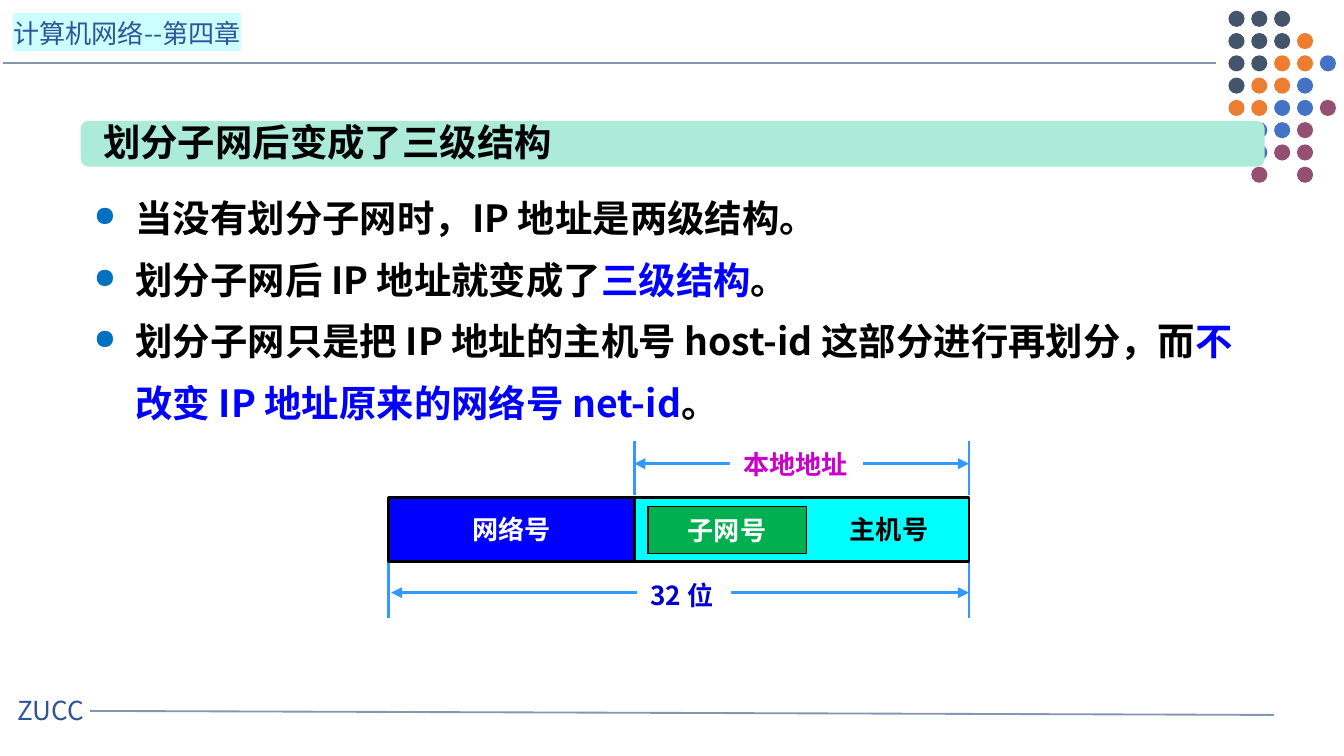
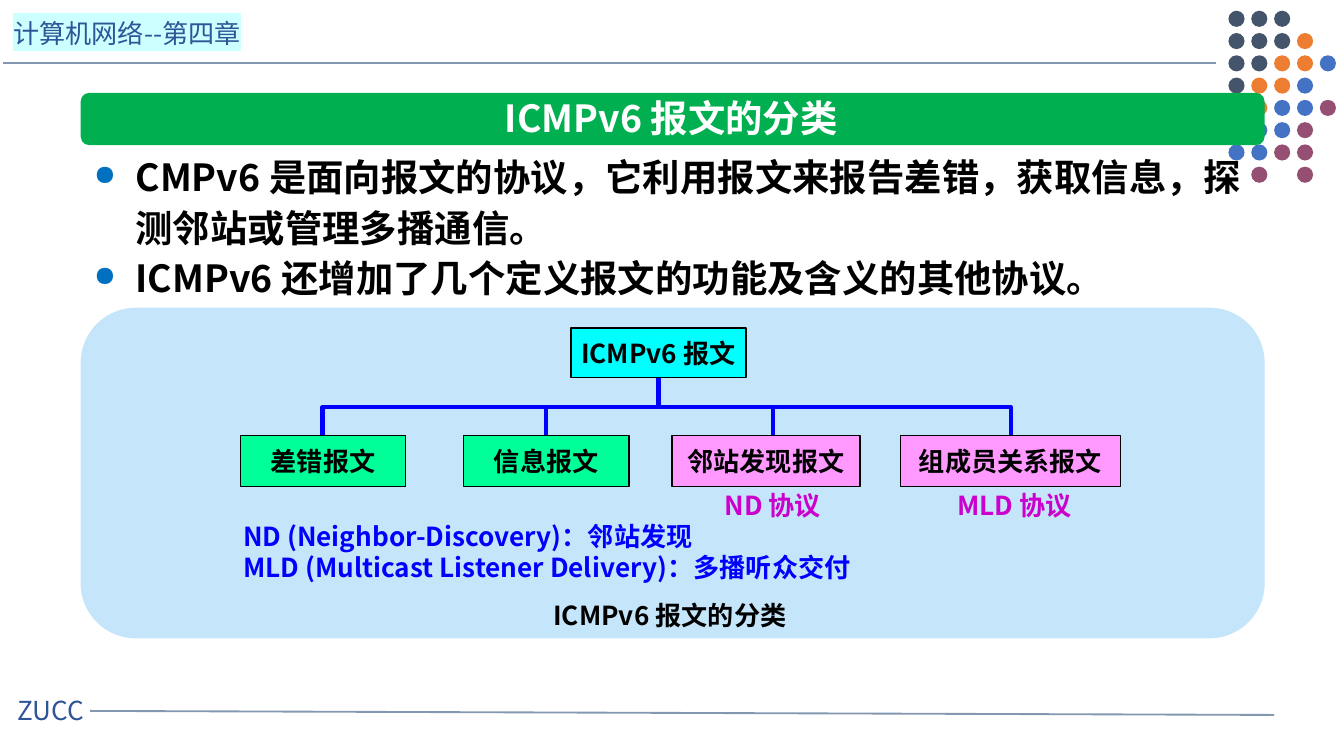
from lxml import etree
from pptx import Presentation
from pptx.dml.color import RGBColor
from pptx.enum.shapes import MSO_CONNECTOR, MSO_SHAPE
from pptx.enum.text import MSO_ANCHOR, MSO_AUTO_SIZE, PP_ALIGN
from pptx.oxml.ns import qn
from pptx.util import Inches, Pt

RECT, ROUND, OVAL = MSO_SHAPE.RECTANGLE, MSO_SHAPE.ROUNDED_RECTANGLE, MSO_SHAPE.OVAL
STRAIGHT = MSO_CONNECTOR.STRAIGHT
LEFT, CENTER = PP_ALIGN.LEFT, PP_ALIGN.CENTER
TOP, MIDDLE = MSO_ANCHOR.TOP, MSO_ANCHOR.MIDDLE
FIT, FIXED = MSO_AUTO_SIZE.SHAPE_TO_FIT_TEXT, MSO_AUTO_SIZE.NONE

# Shared look
FACE = "Noto Sans CJK SC"
BLACK, WHITE, BLUE, CYAN = "000000", "FFFFFF", "0000FF", "00FFFF"
GREEN, MINT, PINK, PURPLE = "00B050", "00FF99", "FF99FF", "CC00CC"
RULE, BRAND, MARK, SPAN = "8497B0", "2F5597", "0070C0", "3399FF"
HEAD = {"size": Pt(20), "bold": True}
BODY = {"size": Pt(14), "bold": True}
PLAIN = {"size": Pt(14), "bold": False}
MARGIN, WIDTH = 0.6, 8.81

# Corner dots: one letter a dot, a dot character for a gap
DOTS = ["SSS..", "SSSO.", "SSOOB", "SOOB.", "OOBBP", "OBBP.", "BBPP.", ".P.P."]
TINTS = {"S": "44546A", "O": "ED7D31", "B": "4472C4", "P": "954F72"}


def color(code):
    return RGBColor.from_string(code)


def sub(parent, tag, **attrs):
    return etree.SubElement(parent, qn(tag), attrs)


# Text
def add_run(para, text, style, ink, glow=None):
    run = para.add_run()
    run.text = text
    for key, value in style.items():
        setattr(run.font, key, value)
    run.font.color.rgb = color(ink)
    props = run.font._element
    if glow:
        sub(sub(props, "a:highlight"), "a:srgbClr", val=glow)
    run.font.name = FACE
    sub(props, "a:ea", typeface=FACE)


def write(shape, lines, style, ink=BLACK, align=LEFT, anchor=TOP,
          wrap=True, fit=True, glow=None):
    """Each line is a string or a list of (text, ink) runs."""
    frame = shape.text_frame
    layout = {"word_wrap": wrap, "auto_size": FIT if fit else FIXED,
              "vertical_anchor": anchor}
    for key, value in layout.items():
        setattr(frame, key, value)
    for i, line in enumerate(lines):
        para = frame.paragraphs[0] if i == 0 else frame.add_paragraph()
        para.alignment = align
        runs = [(line, ink)] if isinstance(line, str) else line
        for text, tone in runs:
            add_run(para, text, style, tone, glow)
    return frame


def add_text(slide, box, lines, style, **opts):
    shape = slide.shapes.add_textbox(*map(Inches, box))
    return write(shape, lines, style, **opts)


def add_list(slide, box, lines, pitch):
    frame = add_text(slide, box, lines, HEAD)
    for para in frame.paragraphs:
        para.line_spacing = Pt(pitch)
        props = para._p.get_or_add_pPr()
        props.set("marL", str(Inches(0.31)))
        props.set("indent", str(-Inches(0.31)))
        sub(sub(props, "a:buClr"), "a:srgbClr", val=MARK)
        sub(props, "a:buSzPct", val="75000")
        sub(props, "a:buChar", char="●")


# Shapes and lines
def add_box(slide, box, fill, kind=RECT, edge=0):
    shape = slide.shapes.add_shape(kind, *map(Inches, box))
    shape.shadow.inherit = False
    shape.fill.solid()
    shape.fill.fore_color.rgb = color(fill)
    if edge:
        shape.line.color.rgb = color(BLACK)
        shape.line.width = Pt(edge)
    else:
        shape.line.fill.background()
    return shape


def add_node(slide, box, text, fill, ink=BLACK, edge=0.75):
    write(add_box(slide, box, fill, edge=edge), [text], BODY, ink=ink,
          align=CENTER, anchor=MIDDLE, wrap=False, fit=False)


def add_line(slide, start, end, ink, width, arrows=False):
    line = slide.shapes.add_connector(STRAIGHT, *map(Inches, start + end))
    line.line.color.rgb = color(ink)
    line.line.width = Pt(width)
    if arrows:
        stroke = line.line._get_or_add_ln()
        for tag in ("a:headEnd", "a:tailEnd"):
            sub(stroke, tag, type="triangle")
    sub(line._element.spPr, "a:effectLst")


def add_path(slide, points, ink, width):
    spots = [(Inches(x), Inches(y)) for x, y in points]
    maker = slide.shapes.build_freeform(*spots[0])
    maker.add_line_segments(spots[1:], close=False)
    shape = maker.convert_to_shape()
    shape.shadow.inherit = False
    shape.fill.background()
    shape.line.color.rgb = color(ink)
    shape.line.width = Pt(width)


# Header, footer and dots of every slide
def add_frame(deck, covered):
    """Rows in covered have their first dot under the title band."""
    slide = deck.slides.add_slide(deck.slide_layouts[6])
    add_line(slide, (0.02, 0.47), (9.05, 0.47), RULE, 1)
    add_line(slide, (0.67, 5.29), (9.48, 5.32), RULE, 1)
    add_text(slide, (0.03, 5.12, 0.89, 0.34), ["ZUCC"], PLAIN, ink=BRAND)
    add_text(slide, (0, 0.08, 2.16, 0.34), ["计算机网络--第四章"], PLAIN,
             ink=BRAND, glow="CCFFFF")
    for row, marks in enumerate(DOTS):
        for col, mark in enumerate(marks):
            if mark in TINTS and not (col == 0 and row in covered):
                spot = (9.14 + 0.17 * col, 0.08 + 1.16 * row / 7, 0.12, 0.12)
                add_box(slide, spot, TINTS[mark], OVAL)
    return slide


def add_band(slide, top, height, fill):
    add_box(slide, (MARGIN, top, WIDTH, height), fill, ROUND)


# Slide 1: three-level address
def add_levels(deck):
    slide = add_frame(deck, covered=(6,))
    add_band(slide, 0.9, 0.34, "ABEBD7")
    add_text(slide, (0.67, 0.84, 3.57, 0.44), ["划分子网后变成了三级结构"],
             HEAD, wrap=False)
    add_list(slide, (MARGIN, 1.28, WIDTH, 1.95), [
        "当没有划分子网时，IP 地址是两级结构。",
        [("划分子网后 IP 地址就变成了", BLACK), ("三级结构", BLUE), ("。", BLACK)],
        [("划分子网只是把 IP 地址的主机号 host-id 这部分进行再划分，而", BLACK),
         ("不改变 IP 地址原来的网络号 net-id", BLUE), ("。", BLACK)],
    ], 33)

    # Address bar with its two measures
    left, mid, right = 2.89, 4.72, 7.21
    for x, top, low in [(right, 3.28, 3.68), (mid, 3.28, 3.68),
                        (left, 4.12, 4.6), (right, 4.12, 4.6)]:
        add_line(slide, (x, top), (x, low), SPAN, 1.5)
    for start, y, box, text, ink, wrap in [
            (2.91, 4.41, (4.74, 4.26, 0.7, 0.34), "32 位", "0000CC", True),
            (mid, 3.45, (5.43, 3.29, 0.99, 0.34), "本地地址", PURPLE, False)]:
        add_line(slide, (start, y), (right, y), SPAN, 1.5, arrows=True)
        write(add_box(slide, box, WHITE), [text], BODY, ink=ink, wrap=wrap)
    add_node(slide, (left, 3.7, mid - left, 0.48), "网络号", BLUE, WHITE, 1.5)
    add_box(slide, (mid, 3.7, right - mid, 0.48), CYAN, edge=1.5)
    add_text(slide, (6.08, 3.77, 1.07, 0.32), ["主机号"], BODY, align=CENTER)
    add_node(slide, (4.82, 3.77, 1.18, 0.35), "子网号", GREEN, WHITE)


# Slide 2: message tree
def add_tree(deck):
    slide = add_frame(deck, covered=(4, 5))
    add_list(slide, (MARGIN, 1.06, WIDTH, 1.24), [
        "CMPv6 是面向报文的协议，它利用报文来报告差错，获取信息，探测邻站或管理多播通信。",
        "ICMPv6 还增加了几个定义报文的功能及含义的其他协议。",
    ], 27)
    title = "ICMPv6 报文的分类"
    add_band(slide, 0.69, 0.39, GREEN)
    add_text(slide, (2.12, 0.66, 5.75, 0.44), [title], HEAD, ink=WHITE,
             align=CENTER)
    add_band(slide, 2.29, 2.46, "C5E5FB")
    add_text(slide, (3.53, 4.41, 2.91, 0.34), [title], BODY, align=CENTER)

    # Root and leaves
    add_node(slide, (4.25, 2.44, 1.3, 0.37), "ICMPv6 报文", CYAN)
    rail, leaf = 3.03, 3.24
    for x, width, text, fill in [
            (1.79, 1.23, "差错报文", MINT), (3.45, 1.23, "信息报文", MINT),
            (5, 1.4, "邻站发现报文", PINK), (6.7, 1.64, "组成员关系报文", PINK)]:
        add_node(slide, (x, leaf, width, 0.38), text, fill)

    # Branches
    add_path(slide, [(2.4, leaf), (2.4, rail), (7.52, rail), (7.52, leaf)],
             BLUE, 2.25)
    for x, top, low in [(4.06, rail, leaf), (5.75, rail, leaf),
                        (4.9, 2.81, rail)]:
        add_line(slide, (x, top), (x, low), BLUE, 2.25)

    # Labels and key
    for x, width, text in [(5.26, 0.98, "ND 协议"), (6.99, 1.12, "MLD 协议")]:
        add_text(slide, (x, 3.59, width, 0.34), [text], BODY, ink=PURPLE,
                 align=CENTER, wrap=False)
    add_text(slide, (1.71, 3.82, 4.88, 0.57), [
        "ND (Neighbor-Discovery)：邻站发现",
        "MLD (Multicast Listener Delivery)：多播听众交付",
    ], BODY, ink=BLUE, wrap=False)


def main():
    deck = Presentation()
    deck.slide_width = Inches(10)
    deck.slide_height = Inches(10) * 9 // 16
    add_levels(deck)
    add_tree(deck)
    deck.save("out.pptx")


if __name__ == "__main__":
    main()
